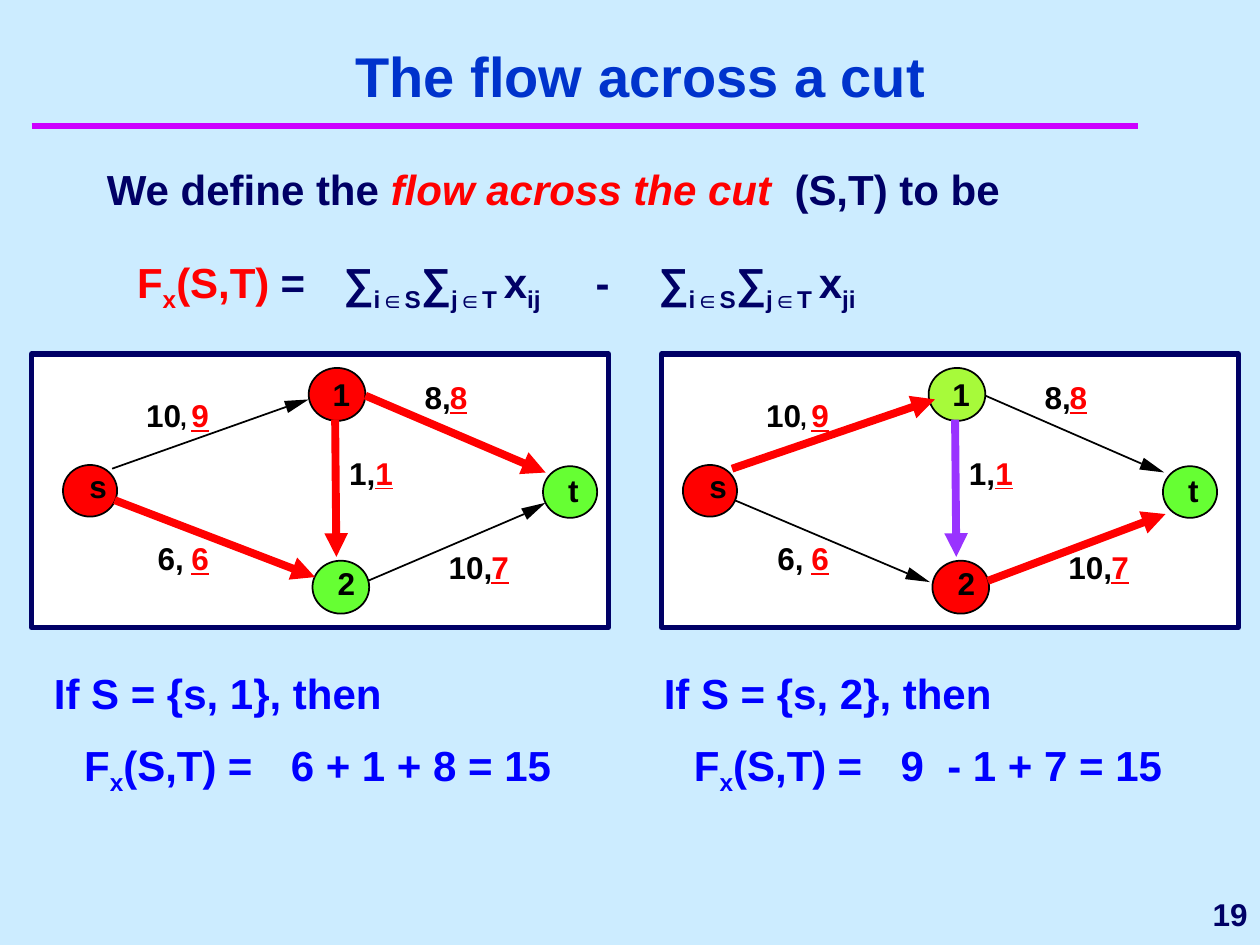
from dataclasses import dataclass
from math import hypot

from lxml import etree
from pptx import Presentation, util as u
from pptx.dml.color import RGBColor
from pptx.enum import shapes as es, text as et
from pptx.oxml import ns


@dataclass(frozen=True)
class Theme:
    font: str = "Arial"
    back: str = "CCECFF"
    title: str = "0033CC"
    rule: str = "CC00FF"
    navy: str = "000066"
    blue: str = "0000FF"
    red: str = "FF0000"
    green: str = "66FF33"
    lime: str = "A7FA3A"
    violet: str = "9933FF"
    black: str = "000000"
    white: str = "FFFFFF"
    head: int = 32
    body: int = 24
    small: int = 18
    tiny: int = 14


class Deck:
    def __init__(self, theme):
        self.t = theme
        self.prs = Presentation()
        self.prs.slide_width, self.prs.slide_height = u.Inches(10), u.Inches(7.5)
        self.slide = self.prs.slides.add_slide(self.prs.slide_layouts[5])
        self.paint(self.slide.background, theme.back)
        self.frame()

    def frame(self, dx=0, group=False):
        """Choose where new shapes go, and how far right they shift."""
        self.dx = dx
        tree = self.slide.shapes
        self.to = tree.add_group_shape().shapes if group else tree

    def paint(self, item, color):
        item.fill.solid()
        item.fill.fore_color.rgb = RGBColor.from_string(color)

    def style(self, run, size, color, line=False):
        font = run.font
        font.name, font.size, font.bold = self.t.font, u.Pt(size), True
        font.color.rgb = RGBColor.from_string(color)
        if line:
            font.underline = True

    def title(self, words, box):
        item = self.slide.shapes.title
        item.left, item.top, item.width, item.height = map(u.Inches, box)
        item.text_frame.text = words
        item.text_frame.vertical_anchor = et.MSO_ANCHOR.BOTTOM
        para = item.text_frame.paragraphs[0]
        para.alignment = et.PP_ALIGN.CENTER
        self.style(para.runs[0], self.t.head, self.t.title)

    def box(self, x, y, w, h, wrap=True):
        item = self.to.add_textbox(*map(u.Inches, (x + self.dx, y, w, h)))
        item.text_frame.word_wrap = wrap
        return item.text_frame

    def label(self, x, y, w, words, color, size=None, line=False):
        size = size or self.t.small
        frame = self.box(x, y, w, size / 60, wrap=False)
        frame.margin_left = frame.margin_right = 0
        frame.margin_top = frame.margin_bottom = 0
        frame.auto_size = et.MSO_AUTO_SIZE.SHAPE_TO_FIT_TEXT
        frame.text = words
        self.style(frame.paragraphs[0].runs[0], size, color, line)

    def number(self, words, box):
        frame = self.box(*box, wrap=False)
        frame.text = words
        frame.vertical_anchor = et.MSO_ANCHOR.MIDDLE
        para = frame.paragraphs[0]
        para.alignment = et.PP_ALIGN.RIGHT
        self.style(para.runs[0], self.t.small, self.t.navy)

    def prose(self, box, color, intro, sum_, gap, tabs):
        """Write an opening line and a formula as (text, marks) runs: r red, i italic, s subscript."""
        frame = self.box(*box)
        for parts, first in ((intro, -0.38), (sum_, -0.14)):
            para = frame.paragraphs[0] if parts is intro else frame.add_paragraph()
            para.space_before = u.Pt(6)
            if parts is intro:
                para.space_after = u.Pt(gap)
            prop = para._p.get_or_add_pPr()
            prop.set("marL", str(u.Inches(0.38)))
            prop.set("indent", str(u.Inches(first)))
            stops = etree.SubElement(prop, ns.qn("a:tabLst"))
            for tab in tabs:
                etree.SubElement(stops, ns.qn("a:tab"), pos=str(u.Inches(tab)), algn="l")
            for words, marks in parts:
                run = para.add_run()
                run.text = words
                self.style(run, self.t.body, self.t.red if "r" in marks else color)
                if "i" in marks:
                    run.font.italic = True
                if "s" in marks:
                    run._r.get_or_add_rPr().set("baseline", "-25000")

    def shape(self, kind, box, fill, line, width):
        x, y, w, h = box
        item = self.to.add_shape(kind, *map(u.Inches, (x + self.dx, y, w, h)))
        item.shadow.inherit = False
        self.paint(item, fill)
        item.line.color.rgb = RGBColor.from_string(line)
        item.line.width = u.Pt(width)

    def line(self, start, end, color, width, head=False):
        (a, b), (c, d) = start, end
        ends = map(u.Inches, (a + self.dx, b, c + self.dx, d))
        item = self.to.add_connector(es.MSO_CONNECTOR.STRAIGHT, *ends)
        item.line.color.rgb = RGBColor.from_string(color)
        item.line.width = u.Pt(width)
        if head:
            etree.SubElement(item.line._get_or_add_ln(), ns.qn("a:tailEnd"), type="triangle")
        etree.SubElement(item._element.spPr, ns.qn("a:effectLst"))

    def thin(self, start, base, tip):
        """Draw a thin line to base, then a slim solid head from base to tip."""
        (a, b), (c, d) = base, tip
        size = hypot(c - a, d - b)
        px, py = (b - d) / size * 0.05, (c - a) / size * 0.05
        points = [(c, d), (a + px, b + py), (a - px, b - py)]
        (x, y), *rest = [(u.Inches(p + self.dx), u.Inches(q)) for p, q in points]
        path = self.to.build_freeform(x, y)
        path.add_line_segments(rest, close=True)
        item = path.convert_to_shape()
        item.shadow.inherit = False
        self.paint(item, self.t.black)
        item.line.fill.background()
        self.line(start, base, self.t.black, 1)


# name: ellipse box, then label left, top and width
NODES = {
    "s": ((0.5, 3.69, 0.43, 0.41), (0.71, 3.71, 0.14)),
    "1": ((2.45, 2.92, 0.45, 0.42), (2.64, 2.98, 0.14)),
    "2": ((2.48, 4.45, 0.45, 0.42), (2.68, 4.48, 0.14)),
    "t": ((4.31, 3.7, 0.43, 0.41), (4.51, 3.74, 0.08)),
}
# name: start, end when thick, base and tip of the head when thin
EDGES = {
    "s1": ((0.89, 3.72), (2.5, 3.17), (2.27, 3.23), (2.45, 3.17)),
    "s2": ((0.91, 3.97), (2.5, 4.58), (2.28, 4.55), (2.46, 4.62)),
    "1t": ((2.9, 3.14), (4.33, 3.75), (4.14, 3.68), (4.32, 3.75)),
    "2t": ((2.92, 4.61), (4.33, 4.08), (4.16, 4.08), (4.33, 3.99)),
    "12": ((2.66, 3.33), (2.67, 4.42), None, None),
}
# top, capacity (left, width, text), flow (left, text)
LOADS = [
    (3.14, (1.16, 0.28, "10"), (1.52, "9")),
    (3.0, (3.37, 0.21, "8,"), (3.57, "8")),
    (3.6, (2.77, 0.21, "1,"), (2.98, "1")),
    (4.35, (3.56, 0.35, "10,"), (3.9, "7")),
    (4.28, (1.25, 0.28, "6,"), (1.52, "6")),
]


def graph(deck, left, dx, fills, cut):
    t = deck.t
    deck.frame(group=True)
    deck.shape(es.MSO_SHAPE.RECTANGLE, (left, 2.81, 4.58, 2.17), t.white, t.navy, 3)
    deck.dx = dx
    for (name, (oval, spot)), fill in zip(NODES.items(), fills):
        deck.shape(es.MSO_SHAPE.OVAL, oval, fill, t.black, 1)
        deck.label(*spot, name, t.black)
    for name, (start, end, base, tip) in EDGES.items():
        if name in cut:
            deck.line(start, end, cut[name], 4.5, head=True)
        else:
            deck.thin(start, base, tip)
    for top, (x, w, cap), (fx, flow) in LOADS:
        deck.label(x, top, w, cap, t.black)
        deck.label(fx, top, 0.14, flow, t.red, line=True)
    deck.label(1.43, 3.19, 0.11, ",", t.black, t.tiny)
    deck.frame()


def main():
    t = Theme()
    deck = Deck(t)
    deck.line((0.25, 1), (9.03, 1), t.rule, 4)
    deck.title("The flow across a cut", (0.42, 0.33, 9.33, 0.58))
    deck.number("19", (8.08, 7, 1.92, 0.5))

    sums = [("∑", ""), ("i∈S", "s"), ("∑", ""), ("j∈T ", "s"), ("x", "")]
    intro = [("We define the ", ""), ("flow across the cut ", "ri"), (" (S,T) to be", "")]
    total = [("F", "r"), ("x", "rs"), ("(S,T)", "r"), ("\t=\t", ""), *sums,
             ("ij", "s"), ("\t-\t", ""), *sums, ("ji", "s")]
    deck.prose((0.75, 1.25, 7.83, 1.29), t.navy, intro, total, 18, (1.18, 2, 3.93, 4.41))

    graph(deck, 0.25, 0, (t.red, t.red, t.green, t.green),
          {"s2": t.red, "1t": t.red, "12": t.red})
    graph(deck, 5.25, 4.92, (t.red, t.lime, t.red, t.green),
          {"s1": t.red, "2t": t.red, "12": t.violet})

    for left, node, value in ((0.33, 1, "6 + 1 + 8 = 15"), (5.17, 2, "9  - 1 + 7 = 15")):
        given = [(f"If S = {{s, {node}}}, then", "")]
        result = [("F", ""), ("x", "s"), (f"(S,T)\t=\t{value}", "")]
        deck.prose((left, 5.25, 4.5, 1.52), t.blue, given, result, 6, (1.18, 2))
    deck.prs.save("out.pptx")


if __name__ == "__main__":
    main()
